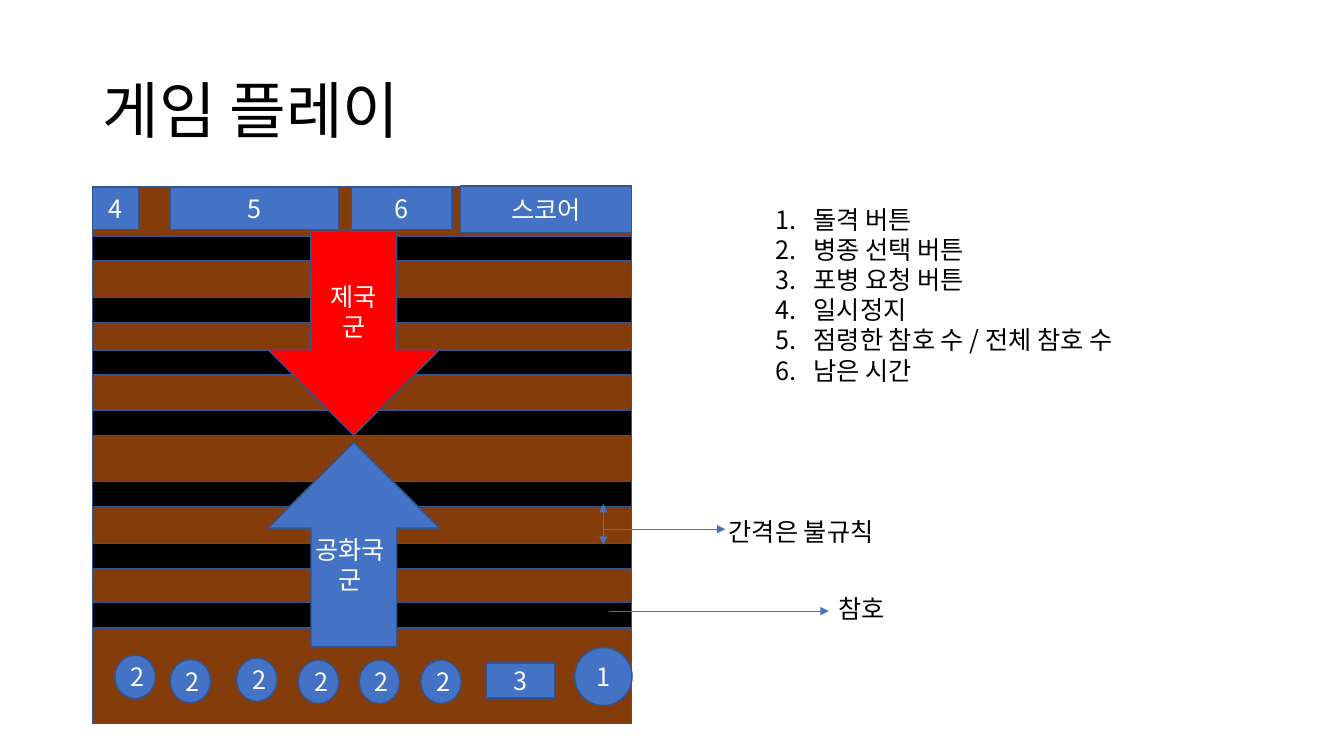
from lxml import etree
from pptx import Presentation
from pptx.dml.color import RGBColor
from pptx.enum.shapes import MSO_CONNECTOR, MSO_SHAPE
from pptx.enum.text import MSO_ANCHOR, MSO_AUTO_SIZE, PP_ALIGN
from pptx.oxml.ns import qn
from pptx.util import Pt

RECT, OVAL, ARROW = MSO_SHAPE.RECTANGLE, MSO_SHAPE.OVAL, MSO_SHAPE.DOWN_ARROW
LINE = MSO_CONNECTOR.STRAIGHT
LEFT, MID = PP_ALIGN.LEFT, PP_ALIGN.CENTER
TOP, CENTER = MSO_ANCHOR.TOP, MSO_ANCHOR.MIDDLE
NONE, GROW = MSO_AUTO_SIZE.NONE, MSO_AUTO_SIZE.SHAPE_TO_FIT_TEXT

FONT = "Noto Sans CJK KR"
BLACK = RGBColor(0x00, 0x00, 0x00)
WHITE = RGBColor(0xFF, 0xFF, 0xFF)
BROWN = RGBColor(0x84, 0x3C, 0x0B)
RED = RGBColor(0xFF, 0x00, 0x00)
BLUE = RGBColor(0x44, 0x72, 0xC4)
EDGE = RGBColor(0x32, 0x54, 0x91)

FIELD = (66, 133, 385, 384)
TRENCH_TOPS = (168.5, 212.5, 250, 293, 344, 388, 430.5)
TRENCH_HIGH = 18
TROOPS = ((82, 468), (121.5, 471), (169, 470), (213, 471.5),
          (256.5, 471.5), (300.5, 471.5))
TROOP_SIZE = (29, 31)
PANELS = (
    (RECT, "4", (66, 133.5, 33, 30.5)),
    (RECT, "5", (121.5, 133.5, 120.5, 30.5)),
    (RECT, "6", (251, 133.5, 72, 30.5)),
    (RECT, "스코어", (329, 133, 122, 33)),
    (RECT, "3", (347.5, 473.5, 48.5, 25)),
    (OVAL, "1", (410.5, 462.5, 41, 41.5)),
)
ITEMS = ("돌격 버튼", "병종 선택 버튼", "포병 요청 버튼", "일시정지",
         "점령한 참호 수 / 전체 참호 수", "남은 시간")


def place(shape, box):
    """Move and size a shape to a box in points."""
    shape.left, shape.top, shape.width, shape.height = map(Pt, box)


def write(para, text, color, size=18, align=LEFT):
    """Add one styled run to a paragraph."""
    para.alignment = align
    run = para.add_run()
    run.text = text
    run.font.size = Pt(size)
    run.font.color.rgb = color
    run.font.name = FONT
    east = etree.SubElement(run.font._element, qn("a:ea"))
    east.set("typeface", FONT)


def block(slide, kind, box, fill, text=""):
    """Draw an outlined shape, with centred white text if given."""
    shape = slide.shapes.add_shape(kind, *map(Pt, box))
    shape.shadow.inherit = False
    shape.fill.solid()
    shape.fill.fore_color.rgb = fill
    shape.line.color.rgb = EDGE
    shape.line.width = Pt(1)
    if text:
        write(shape.text_frame.paragraphs[0], text, WHITE, align=MID)
    return shape


def label(slide, box, lines, color):
    """Add a text box of (text, alignment) lines."""
    frame = slide.shapes.add_textbox(*map(Pt, box)).text_frame
    frame.word_wrap = False
    frame.auto_size = GROW
    for i, (text, align) in enumerate(lines):
        para = frame.add_paragraph() if i else frame.paragraphs[0]
        write(para, text, color, align=align)


def pointer(slide, start, end, ends=("tailEnd",)):
    """Draw a thin line with arrowheads at the named ends."""
    line = slide.shapes.add_connector(LINE, *map(Pt, start + end))
    line.line.color.rgb = BLUE
    line.line.width = Pt(0.5)
    stroke = line.line._get_or_add_ln()
    for name in ends:
        etree.SubElement(stroke, qn("a:" + name)).set("type", "triangle")
    etree.SubElement(line._element.spPr, qn("a:effectLst"))


def heading(slide, text):
    """Fill the title placeholder."""
    title = slide.shapes.title
    place(title, (66, 29, 828, 104))
    frame = title.text_frame
    frame.word_wrap = True
    frame.vertical_anchor = CENTER
    frame.auto_size = NONE
    para = frame.paragraphs[0]
    para.line_spacing = 0.9
    write(para, text, BLACK, 44)


def legend(slide, items):
    """Fill the body placeholder with a numbered list."""
    body = slide.placeholders[1]
    place(body, (547, 142, 287.5, 138))
    frame = body.text_frame
    frame.word_wrap = True
    frame.vertical_anchor = TOP
    frame.auto_size = NONE
    for i, text in enumerate(items):
        para = frame.add_paragraph() if i else frame.paragraphs[0]
        para.space_before = para.space_after = Pt(0)
        para.line_spacing = 1.0
        write(para, text, BLACK)
        props = para._p.get_or_add_pPr()
        props.set("marL", str(Pt(27)))
        props.set("indent", str(-Pt(27)))
        font = etree.SubElement(props, qn("a:buFont"))
        font.set("typeface", FONT)
        mark = etree.SubElement(props, qn("a:buAutoNum"))
        mark.set("type", "arabicPeriod")


def field(slide):
    """Draw the ground, its trenches and the two armies."""
    block(slide, RECT, FIELD, BROWN)
    for top in TRENCH_TOPS:
        block(slide, RECT, (FIELD[0], top, FIELD[2], TRENCH_HIGH), BLACK)
    block(slide, ARROW, (191.5, 165, 122.5, 146), RED, "제국군")
    army = block(slide, ARROW, (191.5, 316, 122.5, 146), BLUE)
    army.rotation = 180
    label(slide, (218, 378, 69, 51), (("공화국", LEFT), ("군", MID)), WHITE)


def main():
    """Build and save the slide."""
    deck = Presentation()
    deck.slide_width, deck.slide_height = Pt(960), Pt(540)
    slide = deck.slides.add_slide(deck.slide_layouts[1])
    heading(slide, "게임 플레이")
    legend(slide, ITEMS)
    field(slide)
    for spot in TROOPS:
        block(slide, OVAL, spot + TROOP_SIZE, BLUE, "2")
    for kind, text, box in PANELS:
        block(slide, kind, box, BLUE, text)
    pointer(slide, (435, 436.5), (592, 436.5))
    label(slide, (592, 420, 51, 29), (("참호", LEFT),), BLACK)
    pointer(slide, (431, 360), (431, 389), ("headEnd", "tailEnd"))
    pointer(slide, (431, 378), (518, 378))
    label(slide, (513.5, 365, 130, 29), (("간격은 불규칙", LEFT),), BLACK)
    deck.save("out.pptx")


main()
